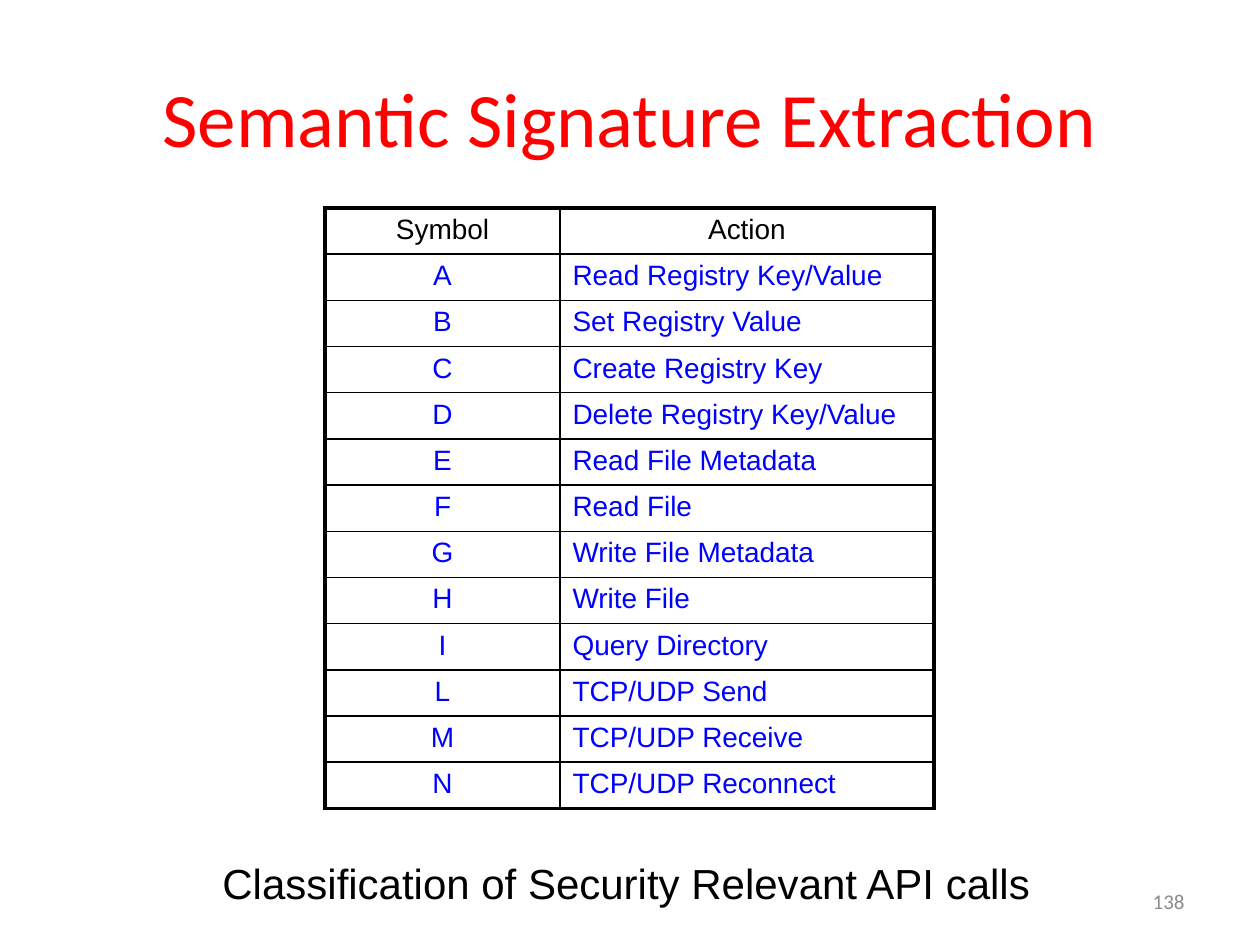
from lxml import etree
from pptx import Presentation
from pptx.dml.color import RGBColor
from pptx.enum.text import MSO_ANCHOR, PP_ALIGN
from pptx.oxml.ns import qn
from pptx.util import Emu, Inches, Pt

LEFT, CENTER, RIGHT = PP_ALIGN.LEFT, PP_ALIGN.CENTER, PP_ALIGN.RIGHT
TOP, MIDDLE = MSO_ANCHOR.TOP, MSO_ANCHOR.MIDDLE
PX_PER_INCH = 126

# Content
TITLE = "Semantic Signature Extraction"
CAPTION = "Classification of Security Relevant API calls"
PAGE_NUMBER = "138"
HEADER = ("Symbol", "Action")
ACTIONS = [
    ("A", "Read Registry Key/Value"),
    ("B", "Set Registry Value"),
    ("C", "Create Registry Key"),
    ("D", "Delete Registry Key/Value"),
    ("E", "Read File Metadata"),
    ("F", "Read File"),
    ("G", "Write File Metadata"),
    ("H", "Write File"),
    ("I", "Query Directory"),
    ("L", "TCP/UDP Send"),
    ("M", "TCP/UDP Receive"),
    ("N", "TCP/UDP Reconnect"),
]

# Layout in px, colours and line widths in points
TITLE_BOX = (63, 38, 1134, 157)
TABLE_LEFT, TABLE_TOP, TABLE_HEIGHT = 325, 208, 601
COLUMN_WIDTHS = (235, 374)
CAPTION_BOX = (210, 851, 835, 63)
NUMBER_BOX = (903, 876, 294, 50)
BLACK, RED, BLUE, GRAY = "000000", "FF0000", "0000FF", "8C8C8C"
OUTER, INNER = 2.25, 1


def px(value):
    return Emu(round(value * Inches(1) / PX_PER_INCH))


def color(value):
    return RGBColor.from_string(value)


def write(frame, text, font, size, ink, align):
    frame.text = text
    para = frame.paragraphs[0]
    para.alignment = align
    para.font.name = font
    para.font.size = Pt(size)
    para.font.color.rgb = color(ink)


def add_text(page, bounds, text, font, size, ink, align, anchor, wrap):
    box = page.shapes.add_textbox(*map(px, bounds))
    box.text_frame.word_wrap = wrap
    box.text_frame.vertical_anchor = anchor
    write(box.text_frame, text, font, size, ink, align)


def set_borders(cell, widths):
    properties = cell._tc.get_or_add_tcPr()
    for side, width in widths.items():
        line = etree.SubElement(properties, qn(f"a:ln{side}"), w=str(Pt(width)))
        fill = etree.SubElement(line, qn("a:solidFill"))
        etree.SubElement(fill, qn("a:srgbClr"), val=BLACK)


def add_action_table(page):
    rows = [HEADER, *ACTIONS]
    last_row, last_column = len(rows) - 1, len(HEADER) - 1
    table = page.shapes.add_table(
        len(rows), len(HEADER), px(TABLE_LEFT), px(TABLE_TOP),
        px(sum(COLUMN_WIDTHS)), px(TABLE_HEIGHT)).table
    table.first_row = table.horz_banding = False
    for column, width in zip(table.columns, COLUMN_WIDTHS):
        column.width = px(width)
    for r, row in enumerate(rows):
        table.rows[r].height = px(TABLE_HEIGHT / len(rows))
        for c, text in enumerate(row):
            cell = table.cell(r, c)
            ink = BLACK if r == 0 else BLUE
            align = CENTER if r == 0 or c == 0 else LEFT
            write(cell.text_frame, text, "Arial", 16, ink, align)
            # Heavy frame around the table, thin lines inside
            set_borders(cell, {
                "L": OUTER if c == 0 else INNER,
                "R": OUTER if c == last_column else INNER,
                "T": OUTER if r == 0 else INNER,
                "B": OUTER if r == last_row else INNER,
            })
            cell.fill.background()


def main():
    deck = Presentation()
    deck.slide_width, deck.slide_height = Inches(10), Inches(7.5)
    page = deck.slides.add_slide(deck.slide_layouts[5])

    # Title
    title = page.shapes.title
    title.left, title.top, title.width, title.height = map(px, TITLE_BOX)
    title.text_frame.vertical_anchor = MIDDLE
    write(title.text_frame, TITLE, "Calibri", 44, RED, CENTER)

    # Table, caption and page number
    add_action_table(page)
    add_text(page, CAPTION_BOX, CAPTION, "Arial", 24, BLACK, LEFT, TOP, False)
    add_text(page, NUMBER_BOX, PAGE_NUMBER, "Calibri", 12, GRAY, RIGHT, MIDDLE, True)

    deck.save("out.pptx")


if __name__ == "__main__":
    main()
